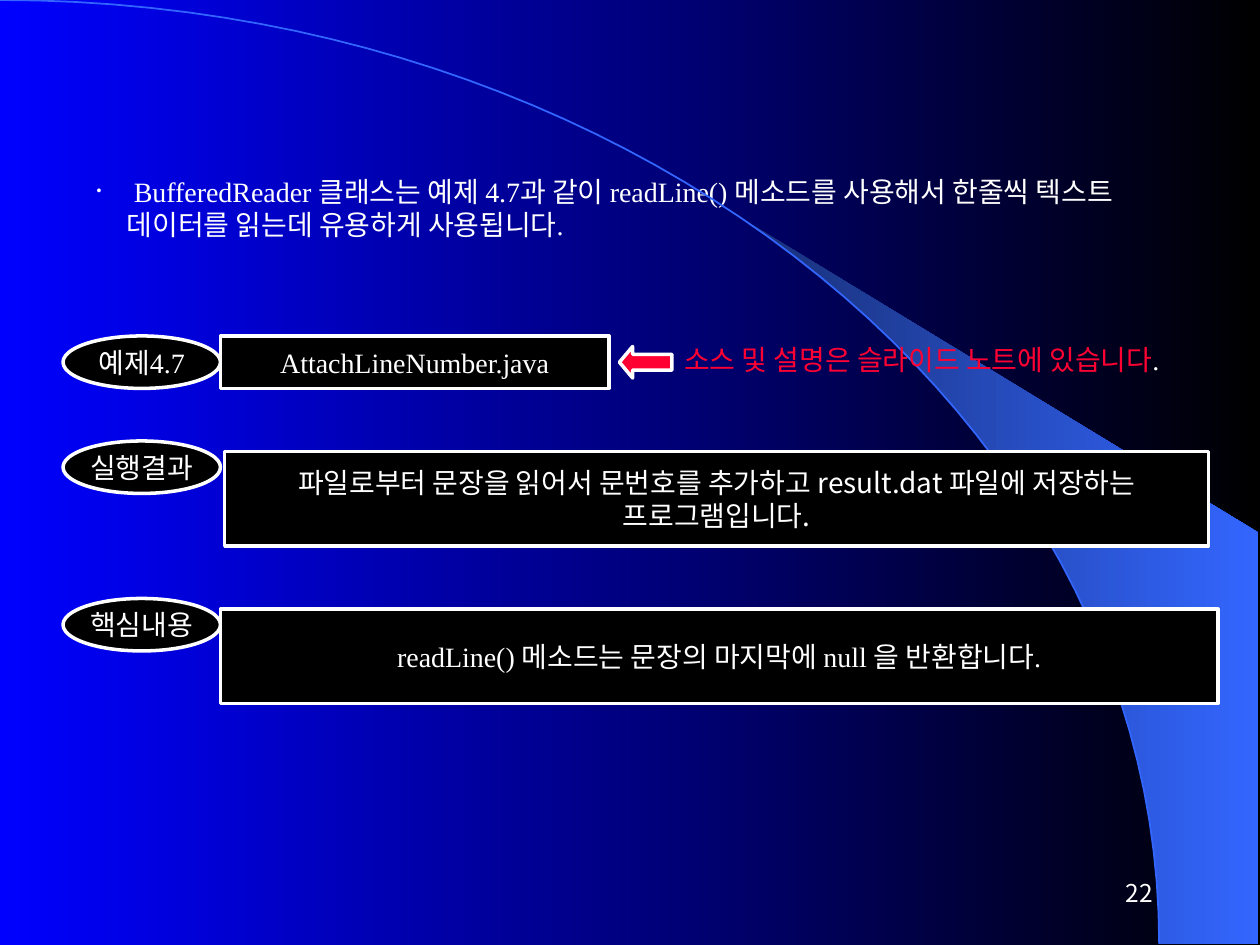
from lxml import etree
from pptx import Presentation
from pptx.dml.color import RGBColor
from pptx.enum.shapes import MSO_SHAPE
from pptx.enum.text import MSO_ANCHOR, MSO_AUTO_SIZE, PP_ALIGN
from pptx.oxml.ns import qn
from pptx.util import Inches, Pt

RECTANGLE, OVAL, LEFT_ARROW = MSO_SHAPE.RECTANGLE, MSO_SHAPE.OVAL, MSO_SHAPE.LEFT_ARROW
TOP, MIDDLE = MSO_ANCHOR.TOP, MSO_ANCHOR.MIDDLE
LEFT, CENTER, RIGHT = PP_ALIGN.LEFT, PP_ALIGN.CENTER, PP_ALIGN.RIGHT
NO_AUTOFIT = MSO_AUTO_SIZE.NONE

BLACK = RGBColor(0x00, 0x00, 0x00)
WHITE = RGBColor(0xFF, 0xFF, 0xFF)
RED = RGBColor(0xFF, 0x00, 0x33)
BLUE = RGBColor(0x00, 0x00, 0xFF)
NAVY = RGBColor(0x18, 0x2F, 0x76)
SKY = RGBColor(0x33, 0x66, 0xFF)
SERIF, SANS = "Times New Roman", "Noto Sans CJK KR"

CELL = Inches(1) / 12
LABEL_LEFT, LABEL_WIDTH, LABEL_HEIGHT = 6, 15, 5

INTRO = (" BufferedReader 클래스는 예제 4.7과 같이 readLine() 메소드를 사용해서 "
         "한줄씩 텍스트 데이터를 읽는데 유용하게 사용됩니다.")
SECTIONS = [
    ("예제4.7", 32, (21, 32, 37, 5), SERIF, ["AttachLineNumber.java"]),
    ("실행결과", 42, (21.4, 43, 93.7, 9), SANS,
     ["파일로부터 문장을 읽어서 문번호를 추가하고 result.dat 파일에 저장하는",
      "프로그램입니다."]),
    ("핵심내용", 57, (21, 58, 95, 9), SERIF,
     ["readLine() 메소드는 문장의 마지막에 null 을 반환합니다."]),
]
NOTE = [("소스 및 설명은 슬라이드 노트에 있습니다", RED), (".", WHITE)]
PAGE_NUMBER = "22"

ARC = [(0, 0), (5.08, 0), (9.2, 3.35), (9.2, 7.49)]
ARC_STEPS, WEDGE_START = 50, 22
WEDGE_CORNERS = [(9.99, 7.49), (9.99, 4.23)]


def place(cells):
    return [round(cell * CELL) for cell in cells]


def arc_point(step):
    t = step / ARC_STEPS
    weights = [(1 - t) ** 3, 3 * t * (1 - t) ** 2, 3 * t * t * (1 - t), t ** 3]
    return tuple(sum(w * point[axis] for w, point in zip(weights, ARC)) for axis in (0, 1))


def set_gradient(fill, first, last):
    fill.gradient()
    fill.gradient_angle = 0
    for stop, color in zip(fill.gradient_stops, (first, last)):
        stop.color.rgb = color


def draw_outline(page, points, close):
    corners = [(Inches(x), Inches(y)) for x, y in points]
    builder = page.shapes.build_freeform(*corners[0], scale=1.0)
    builder.add_line_segments(corners[1:], close=close)
    outline = builder.convert_to_shape()
    outline.shadow.inherit = False
    return outline


def write(shape, paragraphs, font=SERIF, size=16, align=CENTER, anchor=MIDDLE, wrap=False):
    frame = shape.text_frame
    frame.word_wrap = wrap
    frame.auto_size = NO_AUTOFIT
    frame.vertical_anchor = anchor
    for index, spans in enumerate(paragraphs):
        para = frame.add_paragraph() if index else frame.paragraphs[0]
        para.alignment = align
        para.space_before = Pt(0)
        for text, color in spans:
            span = para.add_run()
            span.text = text
            span.font.size = Pt(size)
            span.font.color.rgb = color
            span.font.name = font
            etree.SubElement(span.font._element, qn("a:ea"), typeface=SANS)


def add_box(page, kind, cells, color=BLACK):
    box = page.shapes.add_shape(kind, *place(cells))
    box.shadow.inherit = False
    box.fill.solid()
    box.fill.fore_color.rgb = color
    box.line.color.rgb = WHITE
    box.line.width = Pt(2)
    return box


def add_backdrop(page):
    set_gradient(page.background.fill, BLUE, BLACK)
    arc = [arc_point(step) for step in range(ARC_STEPS + 1)]
    wedge = draw_outline(page, arc[WEDGE_START:] + WEDGE_CORNERS, True)
    set_gradient(wedge.fill, NAVY, SKY)
    wedge.line.fill.background()
    curve = draw_outline(page, arc, False)
    curve.fill.background()
    curve.line.color.rgb = SKY
    curve.line.width = Pt(1)


def add_intro(page):
    body = page.placeholders[1]
    body.left, body.top, body.width, body.height = place((8, 16, 102, 7.7))
    properties = body.text_frame.paragraphs[0]._p.get_or_add_pPr()
    properties.set("marL", str(Inches(0.24)))
    properties.set("indent", str(-Inches(0.24)))
    color = etree.SubElement(properties, qn("a:buClr"))
    etree.SubElement(color, qn("a:srgbClr"), val=str(WHITE))
    etree.SubElement(properties, qn("a:buSzPct"), val="50000")
    etree.SubElement(properties, qn("a:buChar"), char="•")
    write(body, [[(INTRO, WHITE)]], align=LEFT, anchor=TOP, wrap=True)


def main():
    deck = Presentation()
    deck.slide_width, deck.slide_height = Inches(10), Inches(7.5)
    page = deck.slides.add_slide(deck.slide_layouts[1])
    title = page.shapes.title._element
    title.getparent().remove(title)
    add_backdrop(page)
    add_intro(page)

    for label, row, cells, font, lines in SECTIONS:
        oval = add_box(page, OVAL, (LABEL_LEFT, row, LABEL_WIDTH, LABEL_HEIGHT))
        write(oval, [[(label, WHITE)]])
        box = add_box(page, RECTANGLE, cells)
        write(box, [[(line, WHITE)] for line in lines], font=font)

    arrow = add_box(page, LEFT_ARROW, (59, 33, 5, 3), RED)
    arrow.adjustments[1] = 0.42
    note = page.shapes.add_textbox(*place((64, 32, 53, 4.4)))
    write(note, [NOTE], align=LEFT, anchor=TOP, wrap=True)
    number = page.shapes.add_textbox(*place((86, 82, 25, 6)))
    write(number, [[(PAGE_NUMBER, WHITE)]], font=SANS, size=14, align=RIGHT, wrap=True)
    deck.save("out.pptx")


if __name__ == "__main__":
    main()
